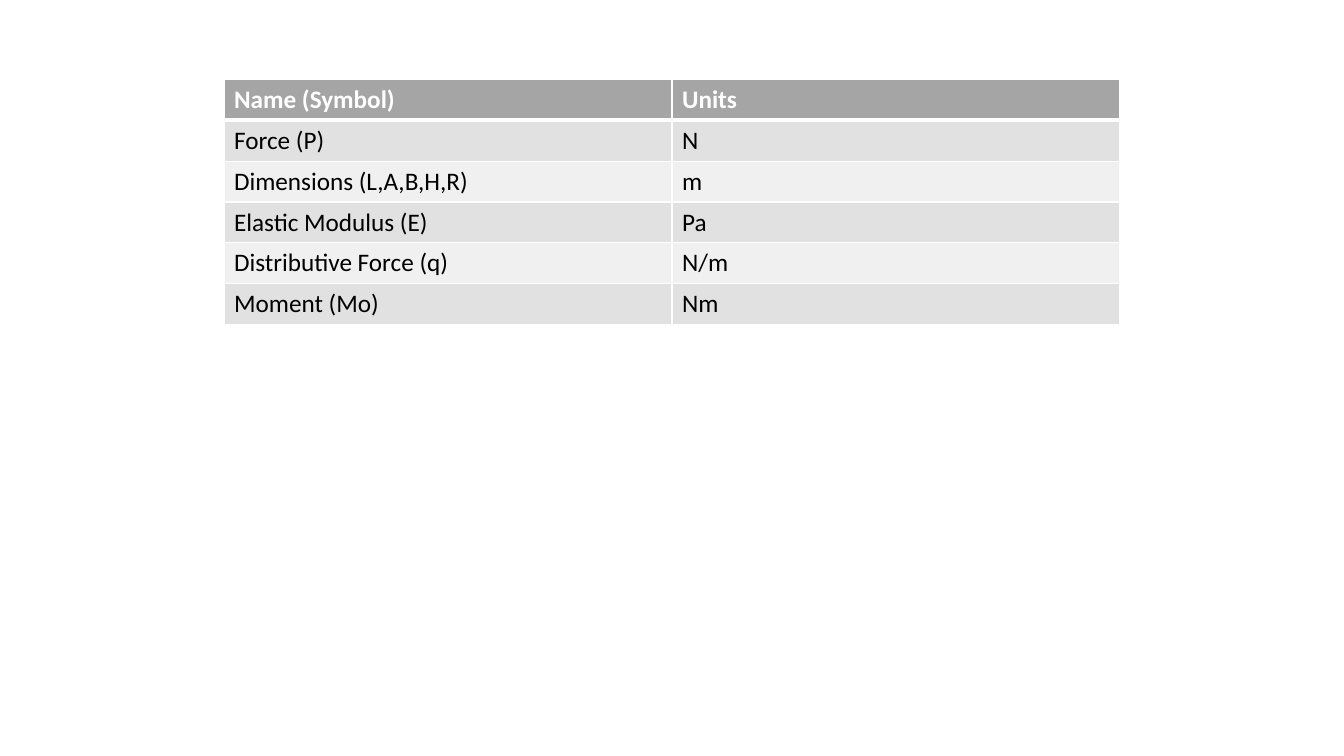
"""Build a slide with a table of quantities and their units."""
from lxml import etree
from pptx import Presentation
from pptx.dml.color import RGBColor
from pptx.oxml.ns import qn
from pptx.util import Inches, Pt

THEME = {
    "font": "Calibri", "size": 18,
    "white": "FFFFFF", "black": "000000",
    "head": "A5A5A5", "bands": ("E1E1E1", "F0F0F0"),
    "thin": 1, "thick": 3,
}
ROWS = [
    ("Name (Symbol)", "Units"),
    ("Force (P)", "N"),
    ("Dimensions (L,A,B,H,R)", "m "),
    ("Elastic Modulus (E)", "Pa"),
    ("Distributive Force (q)", "N/m"),
    ("Moment (Mo)", "Nm"),
]


def write(cell, text, color, bold=False):
    run = cell.text_frame.paragraphs[0].add_run()
    run.text = text
    font = run.font
    font.name, font.size, font.bold = THEME["font"], Pt(THEME["size"]), bold
    font.color.rgb = RGBColor.from_string(color)


def edge(cell, side, width):
    props = cell._tc.get_or_add_tcPr()
    line = etree.SubElement(props, qn(f"a:ln{side}"), w=str(Pt(width)))
    fill = etree.SubElement(line, qn("a:solidFill"))
    etree.SubElement(fill, qn("a:srgbClr"), val=THEME["white"])


deck = Presentation()
deck.slide_width, deck.slide_height = Inches(13.33), Inches(7.5)
wide, high = deck.slide_width, deck.slide_height
slide = deck.slides.add_slide(deck.slide_layouts[6])

col = wide // 3
row = int(high * 0.054)
left, top = wide // 6, int(high * 0.105)
units = slide.shapes.add_table(
    len(ROWS), 2, left, top, 2 * col, len(ROWS) * row).table

for r, texts in enumerate(ROWS):
    head = r == 0
    back = THEME["head"] if head else THEME["bands"][(r - 1) % 2]
    ink = THEME["white"] if head else THEME["black"]
    for c, text in enumerate(texts):
        cell = units.cell(r, c)
        write(cell, text, ink, bold=head)
        for side in "LRTB":
            thick = (r, side) in ((0, "B"), (1, "T"))
            edge(cell, side, THEME["thick" if thick else "thin"])
        cell.fill.solid()
        cell.fill.fore_color.rgb = RGBColor.from_string(back)

deck.save("out.pptx")
